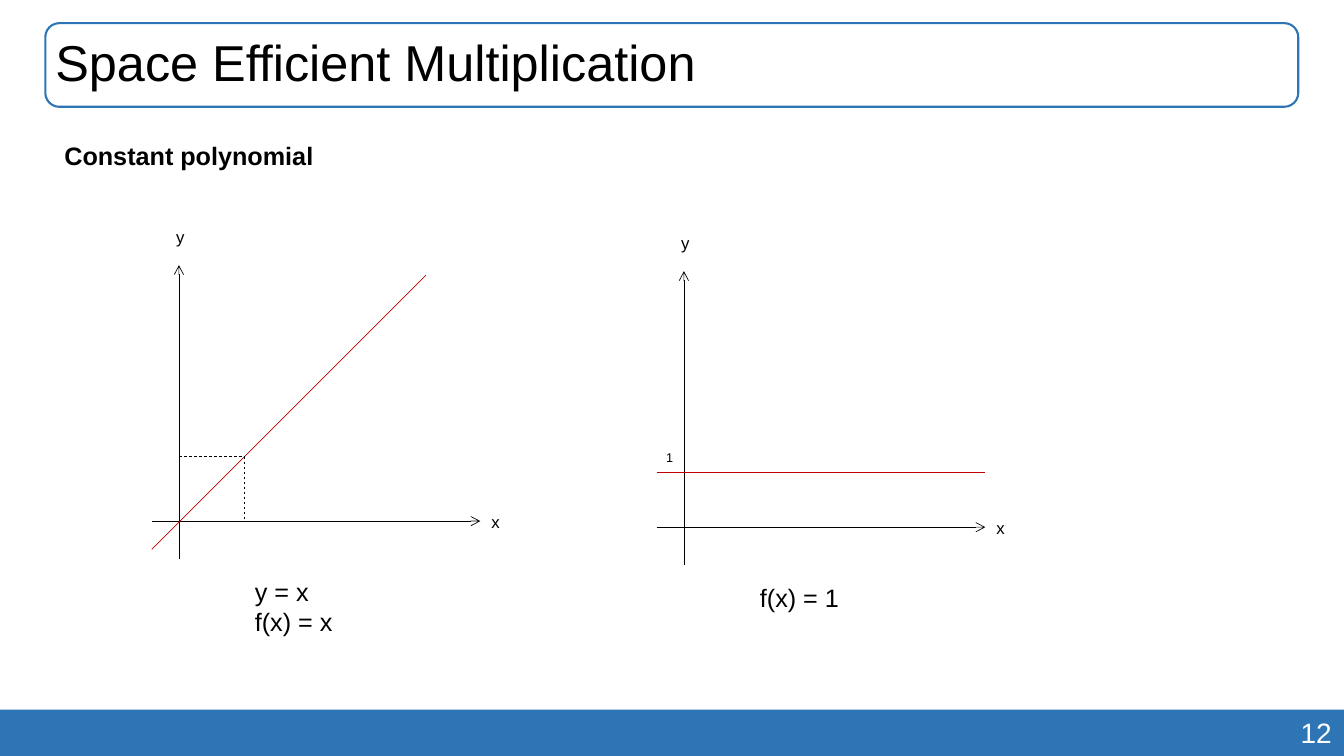
from lxml import etree
from pptx import Presentation
from pptx.dml.color import RGBColor
from pptx.enum.dml import MSO_LINE
from pptx.enum.shapes import MSO_CONNECTOR, MSO_SHAPE
from pptx.enum.text import MSO_ANCHOR as Anchor, PP_ALIGN as Align
from pptx.oxml.ns import qn
from pptx.util import Inches, Pt

COLORS = {
    "blue": "2E75B6",
    "black": "000000",
    "red": "C00000",
    "white": "FFFFFF",
}
COLUMNS, ROWS = 133.33, 75
CELL = Inches(0.1)

presentation = Presentation()
presentation.slide_width = int(COLUMNS * CELL)
presentation.slide_height = ROWS * CELL
slide = presentation.slides.add_slide(presentation.slide_layouts[6])


def write(shape, lines, size, color="black", bold=False, align=Align.LEFT):
    """Fill a shape with one paragraph per line, all in the same style."""
    frame = shape.text_frame
    frame.text = "\n".join(lines)
    for paragraph in frame.paragraphs:
        paragraph.alignment = align
        paragraph.font.name = "Arial"
        paragraph.font.size = Pt(size)
        paragraph.font.bold = bold
        paragraph.font.color.rgb = RGBColor.from_string(COLORS[color])
    return frame


def cells(*lengths):
    return [int(length * CELL) for length in lengths]


# Footer band with the slide number
footer = slide.shapes.add_shape(MSO_SHAPE.RECTANGLE, *cells(0, 70.4, COLUMNS, 4.6))
footer.shadow.inherit = False
footer.fill.solid()
footer.fill.fore_color.rgb = RGBColor.from_string(COLORS["blue"])
footer.line.fill.background()
number = slide.shapes.add_textbox(*cells(94.1, 70.5, 39, 4.4))
write(number, ["12"], 20, "white", align=Align.RIGHT).word_wrap = True

# Framed title
title = slide.shapes.add_shape(MSO_SHAPE.ROUNDED_RECTANGLE, *cells(4.5, 2.3, 124.3, 8.3))
title.shadow.inherit = False
title.fill.background()
title.line.color.rgb = RGBColor.from_string(COLORS["blue"])
title.line.width = Pt(1.5)
title_frame = write(title, ["Space Efficient Multiplication"], 36)
title_frame.vertical_anchor = Anchor.MIDDLE
title_frame.margin_left = Inches(0.06)
title_frame.paragraphs[0].line_spacing = 0.9

heading = slide.shapes.add_textbox(*cells(5.4, 13.4, 27, 4))
write(heading, ["Constant polynomial"], 18, bold=True).word_wrap = False

# Both graphs are laid out in cells from their origin, with y pointing down
AXES = [
    ((-2.7, 0), (29.9, 0), "black", "arrow"),
    ((0, 3.8), (0, -25.4), "black", "arrow"),
]
AXIS_LABELS = [
    (["y"], 12, (-1.25, -29.7, 2.9, 3)),
    (["x"], 12, (30, -1.4, 2.9, 3)),
]
GRAPHS = [
    {
        "origin": (17.75, 51.7),
        "lines": [
            ((-2.7, 2.8), (24.5, -24.4), "red", "plain"),
            ((0, -6.4), (6.5, -6.4), "black", "dash"),
            ((6.5, -6.4), (6.5, 0), "black", "dash"),
        ],
        "labels": [(["y = x", "f(x) = x"], 18, (6.55, 5, 9.8, 7.1))],
    },
    {
        "origin": (67.85, 52.3),
        "lines": [((-2.7, -5.4), (29.9, -5.4), "red", "plain")],
        "labels": [
            (["f(x) = 1"], 18, (6.55, 5, 9.9, 4)),
            (["1"], 9, (-2.75, -8.2, 2.7, 2.5)),
        ],
    },
]

for graph in GRAPHS:
    origin_x, origin_y = graph["origin"]
    for start, end, color, style in AXES + graph["lines"]:
        line = slide.shapes.add_connector(
            MSO_CONNECTOR.STRAIGHT,
            *cells(origin_x + start[0], origin_y + start[1],
                   origin_x + end[0], origin_y + end[1]),
        )
        line.line.color.rgb = RGBColor.from_string(COLORS[color])
        line.line.width = Pt(0.5)
        if style == "dash":
            line.line.dash_style = MSO_LINE.DASH
        if style == "arrow":
            etree.SubElement(line.line._get_or_add_ln(), qn("a:tailEnd"), type="arrow")
        etree.SubElement(line._element.spPr, qn("a:effectLst"))
    for text_lines, size, (left, top, width, height) in AXIS_LABELS + graph["labels"]:
        label = slide.shapes.add_textbox(
            *cells(origin_x + left, origin_y + top, width, height))
        write(label, text_lines, size).word_wrap = False

presentation.save("out.pptx")
